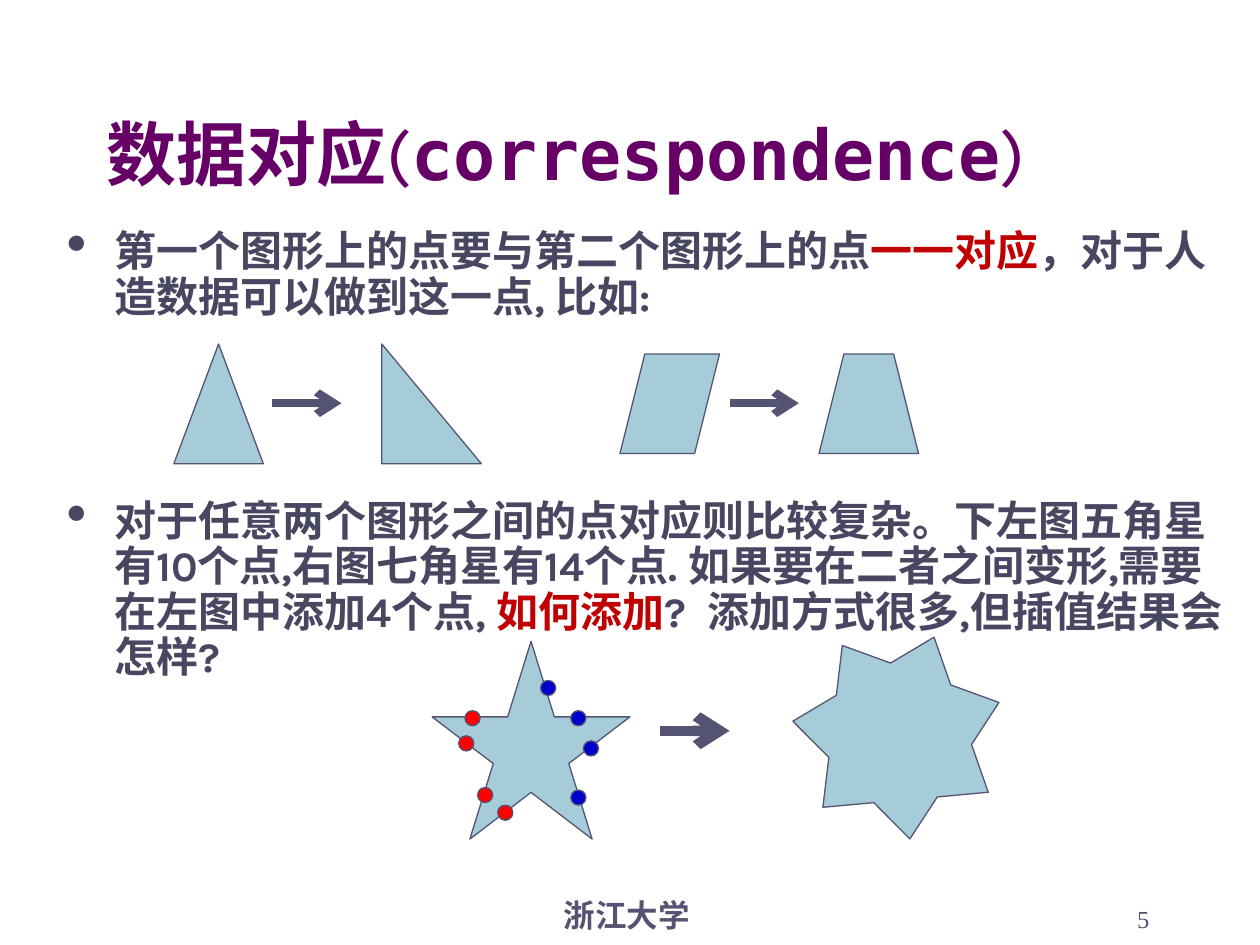
from lxml import etree
from pptx import Presentation
from pptx import util as u
from pptx.dml.color import RGBColor
from pptx.enum import shapes, text
from pptx.oxml.ns import qn

SCALE = 9144
INK, BODY, ACCENT = "545472", "474761", "C00000"
PURPLE, PALE = "660066", "A7CCD9"
RED, BLUE = "FF0000", "0000CC"
KIND = shapes.MSO_SHAPE


def px(length):
    return u.Emu(length * SCALE)


def color(value):
    return RGBColor.from_string(value)


def add_text(slide, box, runs, size, font="Karla", fill=INK, bold=True,
             align=text.PP_ALIGN.LEFT, anchor=text.MSO_ANCHOR.BOTTOM):
    shape = slide.shapes.add_textbox(*map(px, box))
    frame = shape.text_frame
    frame.word_wrap = True
    frame.vertical_anchor = anchor
    paragraph = frame.paragraphs[0]
    paragraph.alignment = align
    for content, changes in runs:
        run = paragraph.add_run()
        run.text = content
        run.font.size = u.Pt(size)
        run.font.name = changes.get("font", font)
        run.font.bold = changes.get("bold", bold)
        run.font.color.rgb = color(changes.get("fill", fill))
    return paragraph


def add_bullet(slide, box, runs):
    paragraph = add_text(slide, box, runs, 24, fill=BODY, anchor=text.MSO_ANCHOR.TOP)
    paragraph.line_spacing = 0.9
    paragraph.space_before = u.Pt(6)
    properties = paragraph._p.get_or_add_pPr()
    properties.set("marL", str(px(38)))
    properties.set("indent", str(px(-38)))
    bullet_color = etree.SubElement(properties, qn("a:buClr"))
    etree.SubElement(bullet_color, qn("a:srgbClr"), val=BODY)
    etree.SubElement(properties, qn("a:buSzPct"), val="140000")
    etree.SubElement(properties, qn("a:buChar"), char="•")


def add_figure(slide, kind, box, fill=PALE, rotation=0):
    shape = slide.shapes.add_shape(kind, *map(px, box))
    shape.shadow.inherit = False
    shape.rotation = rotation
    shape.fill.solid()
    shape.fill.fore_color.rgb = color(fill)
    shape.line.color.rgb = color(INK)
    shape.line.width = u.Pt(0.75)


def add_arrow(slide, left, middle, weight):
    arrow = slide.shapes.add_connector(
        shapes.MSO_CONNECTOR.STRAIGHT, px(left), px(middle), px(left + 55), px(middle))
    arrow.line.color.rgb = color(INK)
    arrow.line.width = u.Pt(weight)
    etree.SubElement(arrow.line._get_or_add_ln(), qn("a:tailEnd"), type="arrow")
    etree.SubElement(arrow._element.spPr, qn("a:effectLst"))


def add_simple_pairs(slide, left, top):
    add_figure(slide, KIND.ISOSCELES_TRIANGLE, (left, top, 71, 95))
    add_figure(slide, KIND.RIGHT_TRIANGLE, (left + 165, top, 79, 95))
    add_figure(slide, KIND.PARALLELOGRAM, (left + 354, top + 8, 79, 79))
    add_figure(slide, KIND.TRAPEZOID, (left + 512, top + 8, 79, 79))
    for offset in (78, 441):
        add_arrow(slide, left + offset, top + 47, 4.5)


def add_star_pair(slide, left, top):
    add_figure(slide, KIND.STAR_5_POINT, (left, top + 8, 157, 157))
    add_figure(slide, KIND.STAR_7_POINT, (left + 289, top, 165, 157), rotation=20)
    add_arrow(slide, left + 181, top + 79, 6)
    added_points = {
        RED: [(26, 63), (21, 83), (36, 124), (52, 138)],
        BLUE: [(86, 39), (110, 63), (120, 87), (110, 126)],
    }
    for fill, points in added_points.items():
        for x, y in points:
            add_figure(slide, KIND.OVAL, (left + x, top + y, 12, 12), fill)


def add_footer(slide, top):
    serif = "Times New Roman"
    add_text(slide, (339, top, 317, 50), [("浙江大学", {})], 18, serif,
             align=text.PP_ALIGN.CENTER)
    add_text(slide, (714, top, 208, 50), [("5", {})], 14, serif, bold=False,
             align=text.PP_ALIGN.RIGHT)


def main():
    presentation = Presentation()
    presentation.slide_width, presentation.slide_height = px(1000), px(750)
    slide = presentation.slides.add_slide(presentation.slide_layouts[6])
    add_footer(slide, 696)
    add_text(slide, (75, 67, 850, 92), [
        ("数据对应", {}),
        ("(", {"bold": False}),
        ("correspondence", {"font": "DejaVu Sans Mono"}),
        (")", {"bold": False}),
    ], 40, fill=PURPLE)
    add_bullet(slide, (43, 178, 937, 90), [
        ("第一个图形上的点要与第二个图形上的点", {}),
        ("一一对应", {"fill": ACCENT}),
        ("，对于人造数据可以做到这一点, 比如:", {}),
    ])
    add_bullet(slide, (43, 392, 937, 160), [
        ("对于任意两个图形之间的点对应则比较复杂。下左图五角星有10个点,右图七角星有14个点. "
         "如果要在二者之间变形,需要在左图中添加4个点, ", {}),
        ("如何添加", {"fill": ACCENT}),
        ("?  添加方式很多,但插值结果会怎样?", {}),
    ])
    add_simple_pairs(slide, 138, 273)
    add_star_pair(slide, 343, 501)
    presentation.save("out.pptx")


if __name__ == "__main__":
    main()
